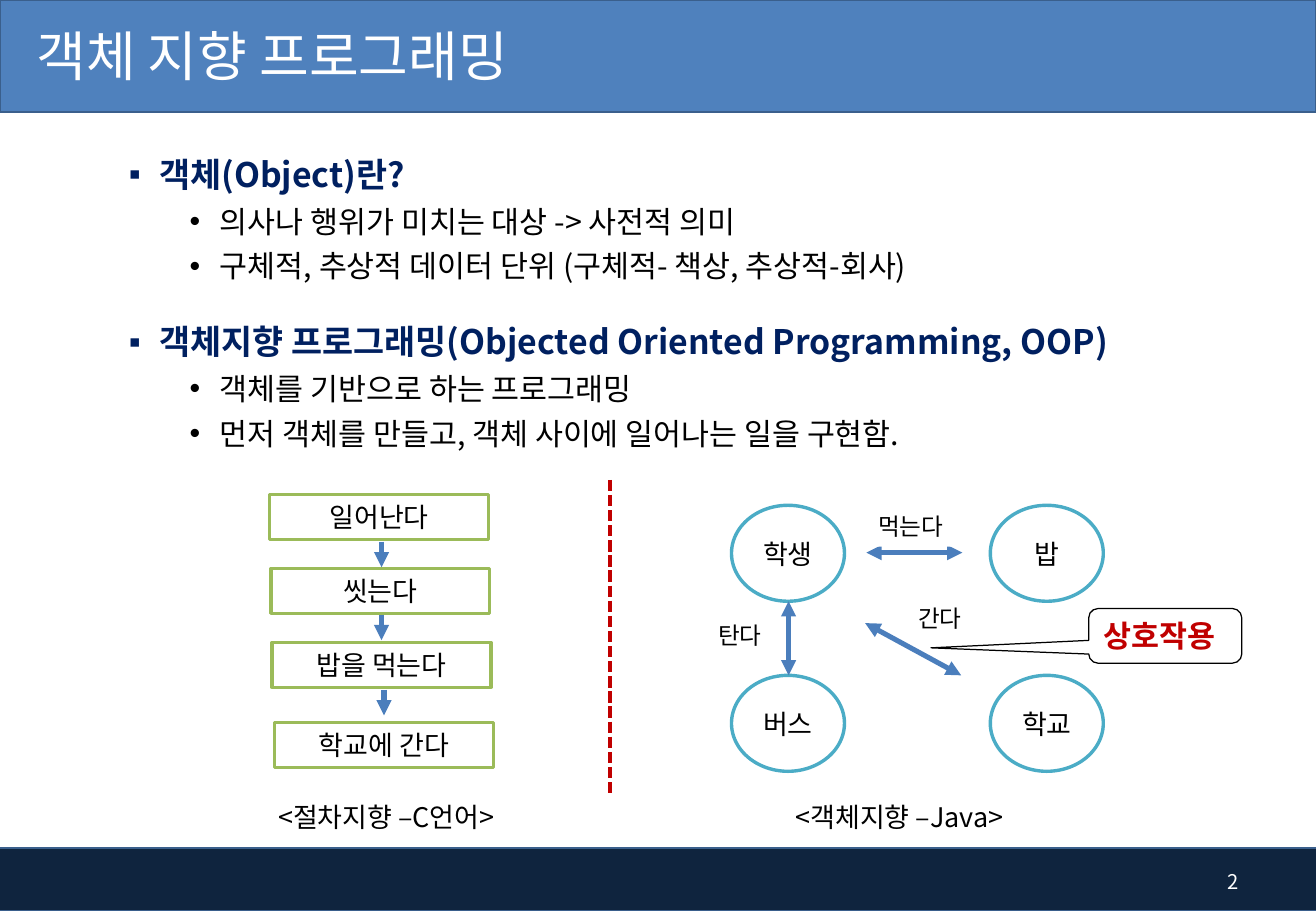
from dataclasses import dataclass

from lxml.etree import SubElement
from pptx import Presentation
from pptx.dml.color import RGBColor
from pptx.enum.dml import MSO_LINE
from pptx.enum.shapes import MSO_CONNECTOR, MSO_SHAPE as SHAPE
from pptx.enum.text import MSO_ANCHOR as ANCHOR, MSO_AUTO_SIZE, PP_ALIGN as ALIGN
from pptx.oxml.ns import qn
from pptx.util import Pt

EMU_PER_PX = 9144


@dataclass(frozen=True)
class Theme:
    """Colours, font and type sizes of the slide."""
    font: str = "Noto Sans CJK KR"
    white: str = "FFFFFF"
    black: str = "000000"
    navy: str = "002060"
    red: str = "C00000"
    header: str = "4F81BD"
    footer: str = "0F243E"
    bar_edge: str = "3A5F8C"
    step_edge: str = "9BBB59"
    node_edge: str = "4BACC6"
    arrow: str = "4B7EBC"
    title_size: int = 32
    heading_size: int = 20
    point_size: int = 18
    box_size: int = 16
    label_size: int = 14
    number_size: int = 12


THEME = Theme()

TOPICS = [
    ("객체(Object)란?",
     ["의사나 행위가 미치는 대상 -> 사전적 의미",
      "구체적, 추상적 데이터 단위 (구체적- 책상, 추상적-회사)"]),
    ("객체지향 프로그래밍(Objected Oriented Programming, OOP)",
     ["객체를 기반으로 하는 프로그래밍",
      "먼저 객체를 만들고, 객체 사이에 일어나는 일을 구현함."]),
]
STEPS = [("일어난다", 222, 407), ("씻는다", 223, 468),
         ("밥을 먹는다", 224, 529), ("학교에 간다", 226, 595)]
STEP_ARROWS = [(314, 446), (314, 506), (316, 568)]
NODES = [["학생", "밥"], ["버스", "학교"]]
ACTION_ARROWS = [(713, 455, 792, 455), (649, 495, 649, 556), (712, 513, 791, 556)]
ACTIONS = [("탄다", 578, 506, 62), ("먹는다", 710, 416, 79), ("간다", 744, 492, 59)]
CAPTIONS = [("<절차지향 –C언어>", 219), ("<객체지향 –Java>", 645)]


def px(*lengths):
    """Turn pixel lengths into EMU."""
    return [length * EMU_PER_PX for length in lengths]


def rgb(colour):
    """Return the colour object for a hex string."""
    return RGBColor.from_string(colour)


def write(paragraph, text, size, colour=THEME.black, bold=False, align=ALIGN.LEFT):
    """Fill a paragraph with text in one format."""
    paragraph.text = text
    paragraph.alignment = align
    font = paragraph.font
    font.size, font.bold, font.name = Pt(size), bold, THEME.font
    font.color.rgb = rgb(colour)
    SubElement(paragraph._p.pPr.find(qn("a:defRPr")), qn("a:ea"), typeface=THEME.font)


def add_box(slide, kind, area, fill=None, edge=None, weight=1):
    """Add a flat preset shape."""
    box = slide.shapes.add_shape(kind, *px(*area))
    box.shadow.inherit = False
    if fill:
        box.fill.solid()
        box.fill.fore_color.rgb = rgb(fill)
    else:
        box.fill.background()
    if edge:
        box.line.color.rgb = rgb(edge)
        box.line.width = Pt(weight)
    else:
        box.line.fill.background()
    box.text_frame.vertical_anchor = ANCHOR.MIDDLE
    return box


def add_bar(slide, area, fill):
    """Add a background bar behind the placeholders."""
    bar = add_box(slide, SHAPE.RECTANGLE, area, fill, THEME.bar_edge)
    slide.shapes._spTree.insert(2, bar._element)


def add_label_box(slide, kind, area, text, size, edge=None):
    """Add a white shape with centred text."""
    box = add_box(slide, kind, area, THEME.white, edge, 2)
    write(box.text_frame.paragraphs[0], text, size, align=ALIGN.CENTER)


def add_note(slide, area, text, size, **style):
    """Add a text box without outline."""
    frame = slide.shapes.add_textbox(*px(*area)).text_frame
    frame.word_wrap = True
    frame.vertical_anchor = ANCHOR.MIDDLE
    write(frame.paragraphs[0], text, size, **style)


def add_line(slide, ends, colour, weight, arrowheads=(), dash=None):
    """Add a straight line with optional arrowheads."""
    connector = slide.shapes.add_connector(MSO_CONNECTOR.STRAIGHT, *px(*ends))
    connector.line.color.rgb = rgb(colour)
    connector.line.width = Pt(weight)
    if dash:
        connector.line.dash_style = dash
    properties = connector._element.spPr
    for arrowhead in arrowheads:
        SubElement(properties.find(qn("a:ln")), qn(arrowhead), type="triangle")
    SubElement(properties, qn("a:effectLst"))


def place(placeholder, area, anchor):
    """Move a placeholder and fix its text layout."""
    placeholder.left, placeholder.top, placeholder.width, placeholder.height = px(*area)
    frame = placeholder.text_frame
    frame.auto_size = MSO_AUTO_SIZE.NONE
    frame.word_wrap = True
    frame.vertical_anchor = anchor
    return frame


def add_bullet(paragraph, mark, margin):
    """Give a paragraph a hanging bullet."""
    properties = paragraph._p.get_or_add_pPr()
    hang, = px(25)
    properties.set("marL", str(px(margin)[0]))
    properties.set("indent", str(-hang))
    SubElement(properties, qn("a:buChar"), char=mark)


def fill_topics(frame):
    """Write the headings with their points."""
    paragraph = frame.paragraphs[0]
    for number, (heading, points) in enumerate(TOPICS):
        if number:
            paragraph = frame.add_paragraph()
        add_bullet(paragraph, "▪", 25)
        paragraph.line_spacing = 1.5
        paragraph.space_before = Pt(10 if number else 0)
        write(paragraph, heading, THEME.heading_size, THEME.navy, True)
        for point in points:
            paragraph = frame.add_paragraph()
            paragraph.level = 1
            add_bullet(paragraph, "•", 75)
            paragraph.space_before = Pt(5)
            write(paragraph, point, THEME.point_size)


def add_procedure(slide):
    """Draw the column of steps."""
    for text, left, top in STEPS:
        add_label_box(slide, SHAPE.RECTANGLE, (left, top, 180, 37), text,
                      THEME.box_size, THEME.step_edge)
    for x, top in STEP_ARROWS:
        add_line(slide, (x, top, x, top + 21), THEME.arrow, 3, ["a:tailEnd"])


def add_objects(slide):
    """Draw the objects and their interactions."""
    for row, names in enumerate(NODES):
        for column, name in enumerate(names):
            area = (602 + 213 * column, 416 + 140 * row, 93, 79)
            add_label_box(slide, SHAPE.OVAL, area, name, THEME.box_size, THEME.node_edge)
    for ends in ACTION_ARROWS:
        add_line(slide, ends, THEME.arrow, 3, ["a:headEnd", "a:tailEnd"])
    for text, left, top, width in ACTIONS:
        add_label_box(slide, SHAPE.RECTANGLE, (left, top, width, 34), text, THEME.label_size)


def add_callout(slide):
    """Draw the interaction callout."""
    callout = add_box(slide, SHAPE.ROUNDED_RECTANGULAR_CALLOUT, (896, 501, 126, 45),
                      edge=THEME.black, weight=0.75)
    for index, value in enumerate((-1.53, 0.22, 0.17)):
        callout.adjustments[index] = value
    write(callout.text_frame.paragraphs[0], "상호작용", THEME.point_size, THEME.red, True)


def main():
    """Build and save the slide."""
    deck = Presentation()
    deck.slide_width, deck.slide_height = px(1083, 750)
    slide = deck.slides.add_slide(deck.slide_layouts[1])
    add_bar(slide, (0, 0, 1083, 92), THEME.header)
    add_bar(slide, (-4, 698, 1088, 52), THEME.footer)

    title = place(slide.shapes.title, (0, -2, 678, 94), ANCHOR.MIDDLE)
    title.margin_left, = px(30)
    write(title.paragraphs[0], "객체 지향 프로그래밍", THEME.title_size, THEME.white)
    fill_topics(place(slide.placeholders[1], (96, 105, 942, 288), ANCHOR.TOP))

    add_procedure(slide)
    add_objects(slide)
    add_line(slide, (502, 395, 502, 654), THEME.red, 2.25, dash=MSO_LINE.SQUARE_DOT)
    for text, left in CAPTIONS:
        add_note(slide, (left, 654, 228, 37), text, THEME.box_size)
    add_callout(slide)
    add_note(slide, (968, 706, 61, 40), "2", THEME.number_size,
             colour=THEME.white, align=ALIGN.RIGHT)
    deck.save("out.pptx")


if __name__ == "__main__":
    main()
